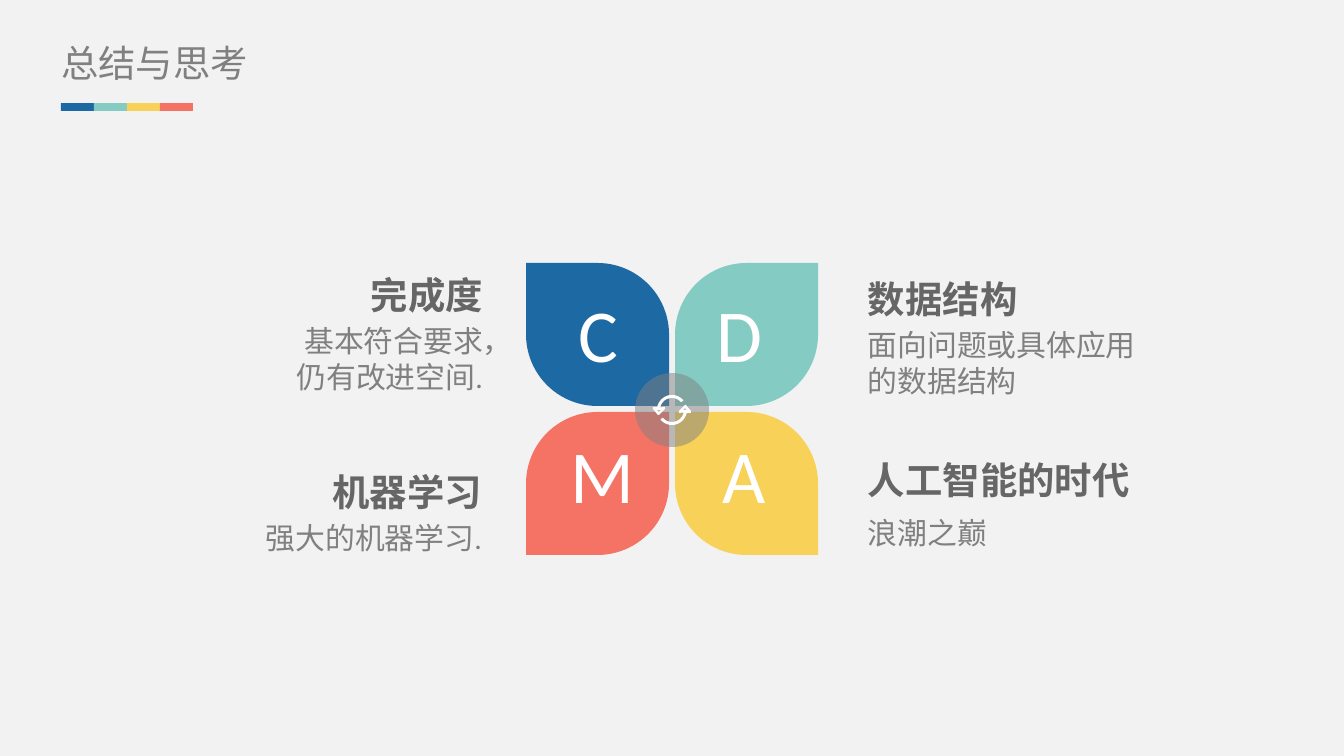
from math import cos, radians, sin

from lxml.etree import SubElement
from pptx import Presentation
from pptx.dml.color import RGBColor
from pptx.enum.shapes import MSO_SHAPE
from pptx.enum.text import MSO_ANCHOR, MSO_AUTO_SIZE, PP_ALIGN
from pptx.oxml.ns import qn
from pptx.util import Pt

EMU_PER_PX = 914400 / 134.4
COLORS = {
    "background": "F2F2F2", "blue": "1D69A3", "teal": "84CBC3", "yellow": "F8D158",
    "red": "F57365", "gray": "808080", "dark": "666666", "white": "FFFFFF",
}
CJK_FONT = "Noto Sans CJK SC"
FRAME = {
    "margin_left": 0, "margin_top": 0, "margin_right": 0, "margin_bottom": 0,
    "vertical_anchor": MSO_ANCHOR.TOP,
}
TITLE = {"name": CJK_FONT, "size": Pt(20), "bold": False}
LETTER = {"name": "Calibri", "size": Pt(40)}
HEADING = {"name": "Calibri", "size": Pt(20), "bold": True}
DETAIL = {"name": "Calibri", "size": Pt(16), "bold": False}

# Each petal: letter, color, column, row, letter box left, top and width
PETALS = [
    ("C", "blue", 0, 0, 52, 25, 40),
    ("D", "teal", 1, 0, 190, 25, 47),
    ("M", "red", 0, 1, 44, 166, 65),
    ("A", "yellow", 1, 1, 196, 166, 43),
]
CAPTIONS = [
    ((292, 263, 191, 132), PP_ALIGN.RIGHT, "完成度", "基本符合要求，仍有改进空间.", 1.0),
    ((206, 460, 276, 97), PP_ALIGN.RIGHT, "机器学习", "强大的机器学习.", 1.0),
    ((868, 267, 285, 132), PP_ALIGN.LEFT, "数据结构", "面向问题或具体应用的数据结构", 1.0),
    ((868, 448, 276, 99), PP_ALIGN.LEFT, "人工智能的时代", "浪潮之巅", 1.2),
]


def px(value):
    """Turn pixels into EMU."""
    return round(value * EMU_PER_PX)


def rgb(name):
    """Look up a palette color."""
    return RGBColor.from_string(COLORS[name])


def apply(target, values):
    """Set every attribute in the dict on the target."""
    for name, value in values.items():
        setattr(target, name, value)


def paint(shape, color):
    """Give a shape a flat fill without line or shadow."""
    shape.shadow.inherit = False
    shape.fill.solid()
    shape.fill.fore_color.rgb = rgb(color)
    shape.line.fill.background()


def add_preset(shapes, kind, box, color):
    """Add a flat preset shape in a pixel box."""
    shape = shapes.add_shape(kind, *map(px, box))
    paint(shape, color)
    return shape


def write(paragraph, text, font, color, **layout):
    """Write one formatted run into a paragraph."""
    apply(paragraph, layout)
    run = paragraph.add_run()
    run.text = text
    run.font.color.rgb = rgb(color)
    apply(run.font, font)
    SubElement(run.font._element, qn("a:ea")).set("typeface", CJK_FONT)


def add_text_box(slide, box, wrap):
    """Add a text box without margins and return its frame."""
    frame = slide.shapes.add_textbox(*map(px, box)).text_frame
    apply(frame, FRAME | {"word_wrap": wrap, "auto_size": MSO_AUTO_SIZE.SHAPE_TO_FIT_TEXT})
    return frame


def build_header(slide, left, top):
    """Place the title and the four-color strip below it."""
    title = slide.shapes.title
    box = (left, top, 409, 46)
    apply(title, dict(zip(("left", "top", "width", "height"), map(px, box))))
    apply(title.text_frame, FRAME | {"word_wrap": True, "auto_size": MSO_AUTO_SIZE.NONE})
    write(title.text_frame.paragraphs[0], "总结与思考", TITLE, "gray", alignment=PP_ALIGN.LEFT)
    strip = slide.shapes.add_group_shape()
    for index, color in enumerate(("blue", "teal", "yellow", "red")):
        add_preset(strip.shapes, MSO_SHAPE.RECTANGLE, (left + 33 * index, top + 63, 33, 8), color)


def build_petals(slide, left, top, size, pitch):
    """Place the two by two petals and their letters."""
    for letter, color, column, row, *_ in PETALS:
        box = (left + pitch * column, top + pitch * row, size, size)
        petal = add_preset(slide.shapes, MSO_SHAPE.ROUND_2_DIAG_RECTANGLE, box, color)
        petal.adjustments[0] = 0.5 if column != row else 0
        petal.adjustments[1] = 0 if column != row else 0.5
    for letter, *_, x, y, width in PETALS:
        frame = add_text_box(slide, (left + x, top + y, width, 90), False)
        write(frame.paragraphs[0], letter, LETTER, "white", alignment=PP_ALIGN.CENTER)


def arc(radius, start, end, step):
    """List points along an arc around the origin."""
    return [
        (radius * cos(radians(angle)), -radius * sin(radians(angle)))
        for angle in range(start, end + step, step)
    ]


def build_hub(slide, left, top, size):
    """Place the translucent disc and its pair of circling arrows."""
    disc = add_preset(slide.shapes, MSO_SHAPE.OVAL, (left, top, size, size), "gray")
    color = disc._element.spPr.find(qn("a:solidFill")).find(qn("a:srgbClr"))
    SubElement(color, qn("a:alpha")).set("val", "50000")

    head = [(-19, -3), (-19, -1), (-14, 5), (-13, 5), (-7, -1), (-7, -3)]
    arrow = arc(15, 40, 168, 8) + head + arc(12, 40, 168, 8)[::-1]
    notch = [(-15, 0), (-13, 2), (-11, 0)]
    center_x, center_y = left + size / 2, top + size / 2
    contours = [
        [(10 * (center_x + turn * x), 10 * (center_y + turn * y)) for x, y in contour]
        for turn in (1, -1) for contour in (arrow, notch)
    ]
    builder = slide.shapes.build_freeform(*contours[0][0], scale=EMU_PER_PX / 10)
    for index, contour in enumerate(contours):
        if index:
            builder.move_to(*contour[0])
        builder.add_line_segments(contour[1:], close=True)
    paint(builder.convert_to_shape(), "white")


def build_caption(slide, box, alignment, heading, detail, detail_spacing):
    """Place a heading with its detail line in the given box."""
    frame = add_text_box(slide, box, True)
    layout = {"alignment": alignment, "space_before": Pt(3)}
    write(frame.paragraphs[0], heading, HEADING, "dark", line_spacing=1.2, **layout)
    write(frame.add_paragraph(), detail, DETAIL, "gray", line_spacing=detail_spacing, **layout)


def main():
    """Build the summary slide and save it."""
    presentation = Presentation()
    apply(presentation, {"slide_width": px(1344), "slide_height": px(756)})
    slide = presentation.slides.add_slide(presentation.slide_layouts[5])
    slide.background.fill.solid()
    slide.background.fill.fore_color.rgb = rgb("background")
    build_petals(slide, 526, 263, 143, 149)
    build_hub(slide, 635, 373, 74)
    for caption in CAPTIONS:
        build_caption(slide, *caption)
    build_header(slide, 61, 40)
    presentation.save("out.pptx")


if __name__ == "__main__":
    main()
